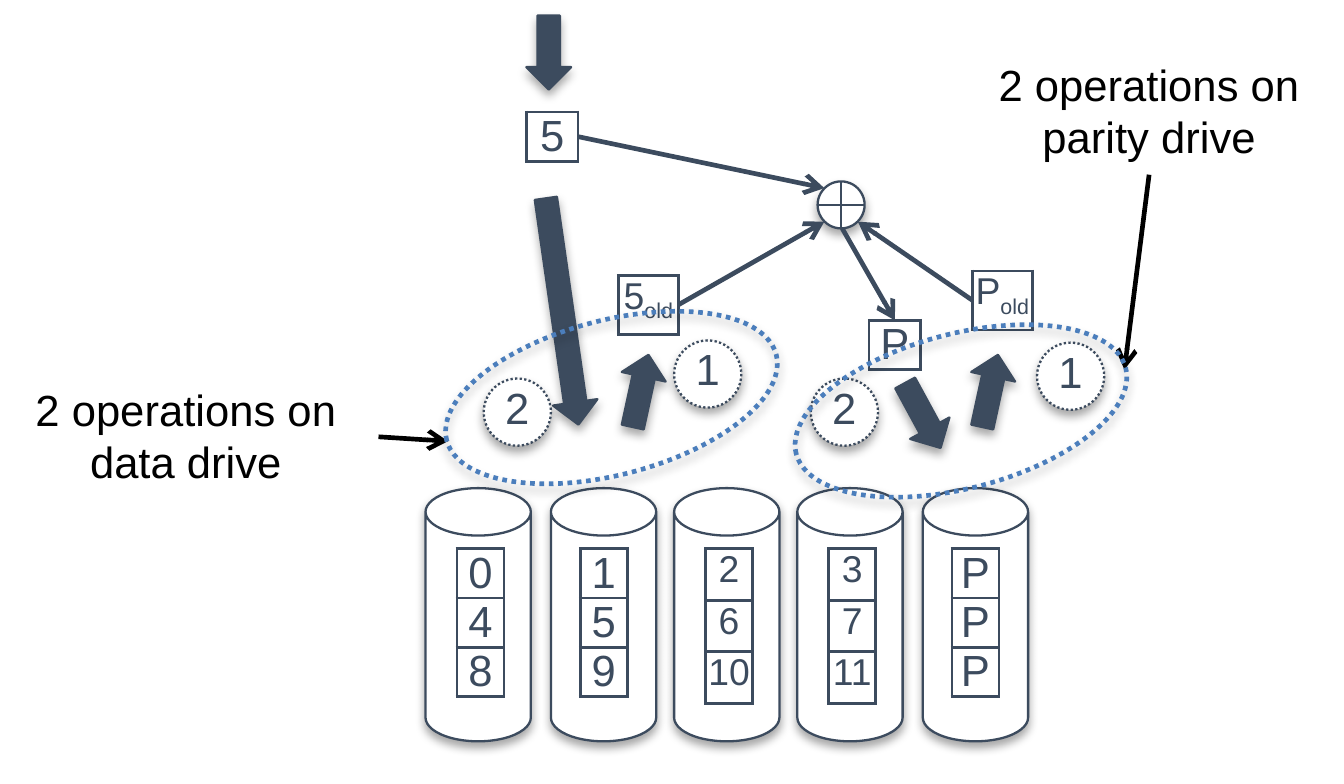
from lxml.etree import SubElement
from pptx import Presentation
from pptx.dml.color import RGBColor
from pptx.enum.dml import MSO_LINE
from pptx.enum.shapes import MSO_CONNECTOR, MSO_SHAPE as SHAPE
from pptx.enum.text import MSO_ANCHOR, PP_ALIGN
from pptx.oxml.ns import qn
from pptx.util import Inches, Pt

COLORS = {"ink": "3C4B5E", "white": "FFFFFF", "black": "000000", "group": "4B7EBC"}
FONT = "Arial"
TOP, LEFT, RIGHT = 0, 1, 3


def color(name):
    return RGBColor.from_string(COLORS[name])


def style_paragraph(paragraph, size, ink="ink"):
    paragraph.alignment = PP_ALIGN.CENTER
    paragraph.font.size = Pt(size)
    paragraph.font.name = FONT
    paragraph.font.color.rgb = color(ink)


def add_shadow(shape):
    shape.shadow.inherit = False
    effects = shape._element.spPr.find(qn("a:effectLst"))
    shadow = SubElement(effects, qn("a:outerShdw"), blurRad=str(Pt(3.1)),
                        dist=str(Pt(1.8)), dir="5400000", rotWithShape="0")
    shade = SubElement(shadow, qn("a:srgbClr"), val=COLORS["black"])
    SubElement(shade, qn("a:alpha"), val="35000")


def add_figure(slide, kind, left, top, width, height, fill="white",
               line="ink", weight=0.75, rotation=0, dotted=False):
    figure = slide.shapes.add_shape(
        kind, Inches(left), Inches(top), Inches(width), Inches(height))
    figure.rotation = rotation
    if fill:
        figure.fill.solid()
        figure.fill.fore_color.rgb = color(fill)
    else:
        figure.fill.background()
    figure.line.color.rgb = color(line)
    figure.line.width = Pt(weight)
    if dotted:
        figure.line.dash_style = MSO_LINE.ROUND_DOT
    add_shadow(figure)
    return figure


def add_drive(slide, left):
    drive = add_figure(slide, SHAPE.CAN, left, 2.18, 0.47, 1.13)
    drive.adjustments[0] = 0.45


def add_block_arrow(slide, left, top, height=0.33, rotation=0):
    add_figure(slide, SHAPE.DOWN_ARROW, left, top, 0.2, height, "ink", rotation=rotation)


def add_step(slide, number, left, top):
    step = add_figure(slide, SHAPE.OVAL, left, top, 0.3, 0.3, dotted=True)
    frame = step.text_frame
    frame.margin_left = frame.margin_right = frame.margin_top = 0
    frame.margin_bottom = Inches(0.05)
    frame.vertical_anchor = MSO_ANCHOR.MIDDLE
    frame.text = number
    style_paragraph(frame.paragraphs[0], 14)


def add_operation_group(slide, left, top):
    add_figure(slide, SHAPE.OVAL, left, top, 1.52, 0.69, None, "group", 1.5, 345.4, True)


def add_borders(cell):
    properties = cell._tc.get_or_add_tcPr()
    for side in ("lnL", "lnR", "lnT", "lnB"):
        border = SubElement(properties, qn(f"a:{side}"), w=str(Pt(1)))
        fill = SubElement(border, qn("a:solidFill"))
        SubElement(fill, qn("a:srgbClr"), val=COLORS["ink"])


def add_blocks(slide, labels, left, top, width, row_height,
               size=14, subscript=None, bottom=0):
    blocks = slide.shapes.add_table(
        len(labels), 1, Inches(left), Inches(top),
        Inches(width), Inches(row_height * len(labels)))
    table = blocks.table
    table.first_row = table.horz_banding = False
    for row, label in enumerate(labels):
        cell = table.cell(row, 0)
        add_borders(cell)
        cell.fill.background()
        cell.margin_left = cell.margin_right = cell.margin_top = 0
        cell.margin_bottom = Inches(bottom)
        paragraph = cell.text_frame.paragraphs[0]
        paragraph.add_run().text = label
        if subscript:
            suffix = paragraph.add_run()
            suffix.text = subscript
            suffix.font._element.set("baseline", "-25000")
        style_paragraph(paragraph, size)
        for run in paragraph.runs:
            run.font.size = Pt(size)
    return blocks


def add_old_block(slide, label, left, top):
    return add_blocks(slide, [label], left, top, 0.27, 0.26, 12, "old", 0.05)


def add_arrow(slide, start, end, ink="ink"):
    arrow = slide.shapes.add_connector(
        MSO_CONNECTOR.STRAIGHT, *(Inches(value) for value in (*start, *end)))
    arrow.line.color.rgb = color(ink)
    arrow.line.width = Pt(1.5)
    SubElement(arrow.line._get_or_add_ln(), qn("a:tailEnd"), type="arrow")
    SubElement(arrow._element.spPr, qn("a:effectLst"))
    return arrow


def add_caption(slide, text, left, top):
    caption = slide.shapes.add_textbox(
        Inches(left), Inches(top), Inches(1.72), Inches(0.57))
    caption.text_frame.word_wrap = True
    caption.text_frame.text = text
    style_paragraph(caption.text_frame.paragraphs[0], 14, "black")


def main():
    deck = Presentation()
    deck.slide_width, deck.slide_height = Inches(6), Inches(3.5)
    slide = deck.slides.add_slide(deck.slide_layouts[6])

    for left in (4.12, 3.56, 3.01, 2.46, 1.9):
        add_drive(slide, left)

    stripes = [("0", "4", "8"), ("1", "5", "9"), ("2", "6", "10"),
               ("3", "7", "11"), ("P", "P", "P")]
    for column, labels in enumerate(stripes):
        size, row_height = (12, 0.23) if column in (2, 3) else (14, 0.22)
        add_blocks(slide, labels, round(2.04 + 0.553 * column, 2), 2.45,
                   0.21, row_height, size)

    new_data = add_blocks(slide, ["5"], 2.35, 0.5, 0.23, 0.22)
    new_parity = add_blocks(slide, ["P"], 3.88, 1.43, 0.23, 0.22)
    add_figure(slide, SHAPE.FLOWCHART_OR, 3.65, 0.81, 0.21, 0.21)
    add_block_arrow(slide, 2.76, 1.58, rotation=192.3)
    add_block_arrow(slide, 2.35, 0.07)
    old_data = add_old_block(slide, "5", 2.76, 1.23)
    old_parity = add_old_block(slide, "P", 4.34, 1.21)
    add_block_arrow(slide, 4.32, 1.58, rotation=192.3)

    add_arrow(slide, (2.58, 0.62), (3.68, 0.84)).begin_connect(new_data, RIGHT)
    add_arrow(slide, (3.03, 1.35), (3.68, 0.99)).begin_connect(old_data, RIGHT)
    add_arrow(slide, (4.34, 1.33), (3.83, 0.99)).begin_connect(old_parity, LEFT)
    add_arrow(slide, (3.76, 1.02), (3.99, 1.43)).end_connect(new_parity, TOP)

    add_block_arrow(slide, 2.41, 0.88, 1.02, 351.8)
    add_block_arrow(slide, 4.02, 1.69, rotation=331.4)
    for number, left, top in (("1", 3.01, 1.52), ("1", 4.63, 1.53),
                              ("2", 3.62, 1.69), ("2", 2.16, 1.69)):
        add_step(slide, number, left, top)

    add_arrow(slide, (1.69, 1.95), (2, 1.97), "black")
    add_caption(slide, "2 operations on data drive", -0.03, 1.66)
    add_operation_group(slide, 1.97, 1.43)
    add_arrow(slide, (5.13, 0.78), (5.02, 1.65), "black")
    add_caption(slide, "2 operations on parity drive", 4.27, 0.21)
    add_operation_group(slide, 3.53, 1.49)

    deck.save("out.pptx")


if __name__ == "__main__":
    main()
